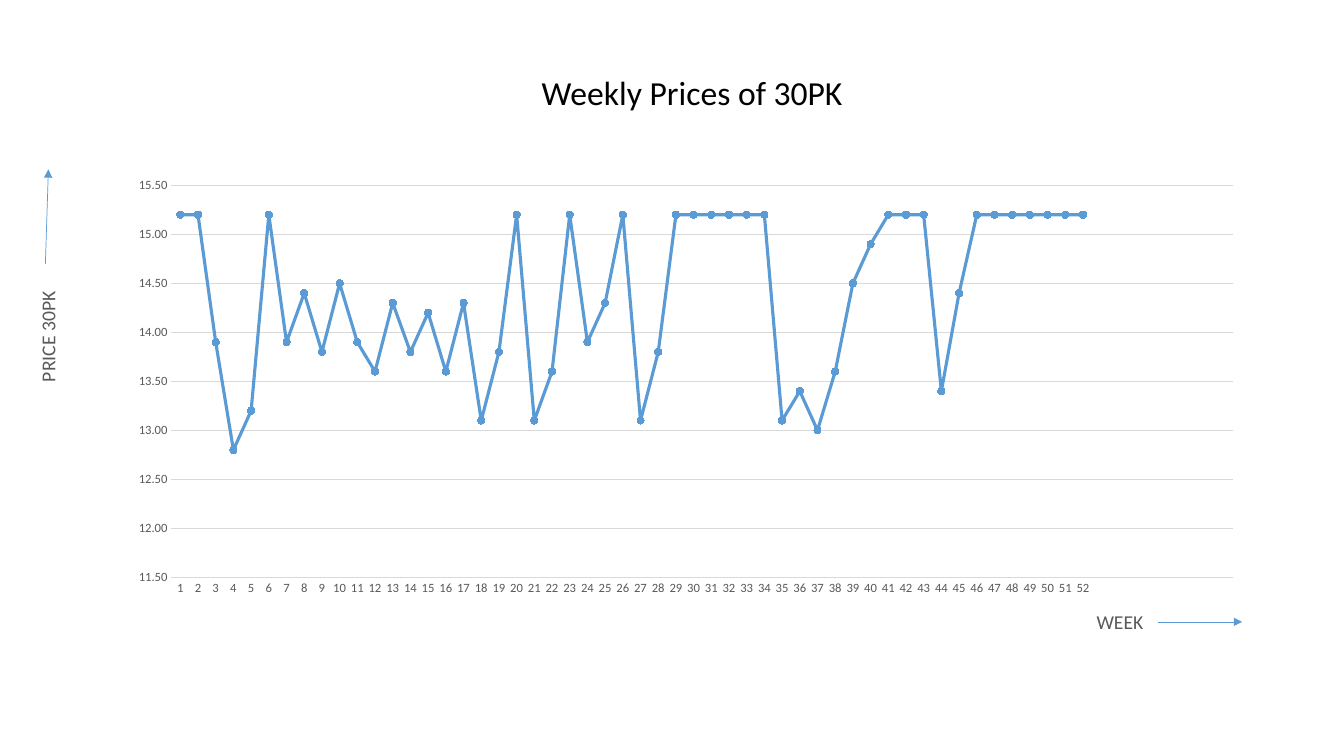
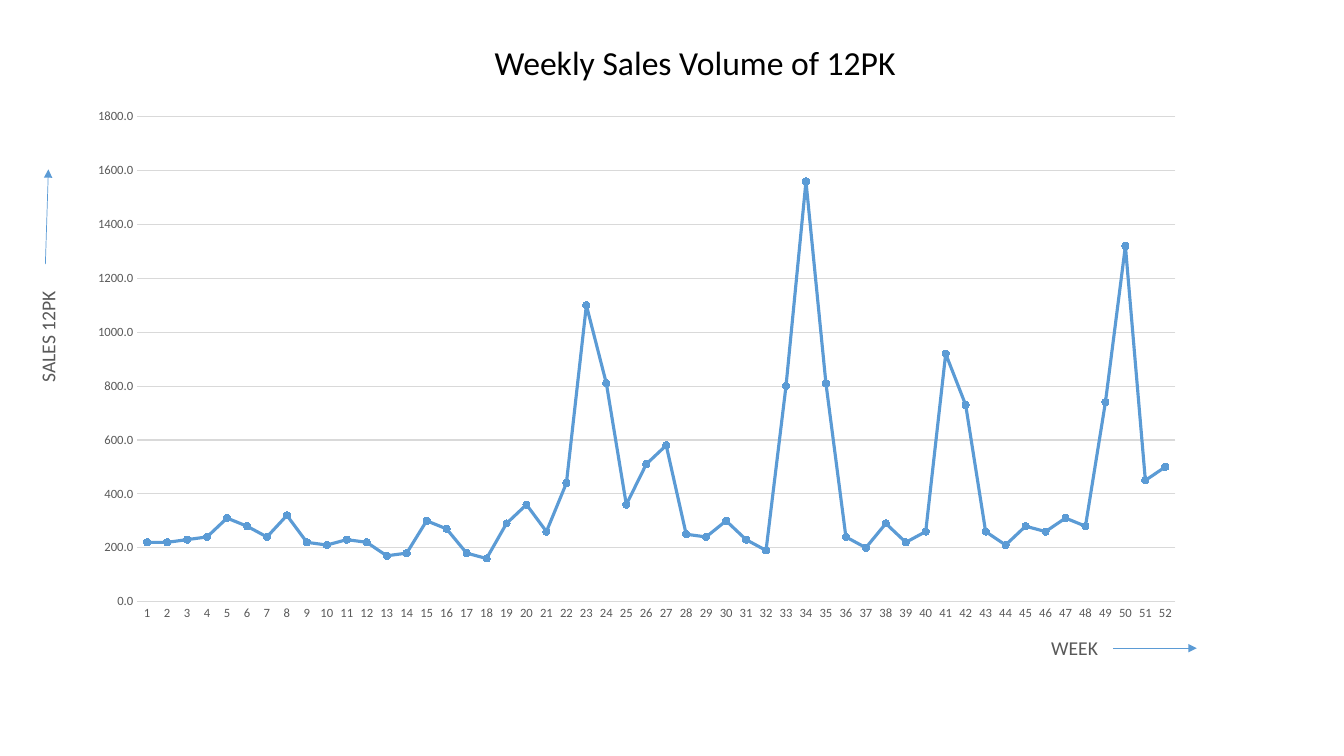
"""Build two slides of weekly line charts with labelled axis arrows."""
from lxml.etree import SubElement
from pptx import Presentation
from pptx.chart.data import CategoryChartData as ChartData
from pptx.dml.color import RGBColor
from pptx.enum.chart import XL_CHART_TYPE as ChartType
from pptx.enum.chart import XL_MARKER_STYLE as Marker
from pptx.enum.chart import XL_TICK_MARK as Tick
from pptx.enum.shapes import MSO_CONNECTOR as Connector
from pptx.enum.text import MSO_ANCHOR as Anchor
from pptx.enum.text import MSO_AUTO_SIZE as AutoSize
from pptx.enum.text import PP_ALIGN as Align
from pptx.oxml.ns import qn
from pptx.util import Inches, Pt

COLORS = {"title": "000000", "label": "595959", "grid": "D9D9D9", "series": "5B9BD5"}
FONT = "Calibri"
RIGHT_SIDE = 3

PRICES = [
    15.2, 15.2, 13.9, 12.8, 13.2, 15.2, 13.9, 14.4, 13.8, 14.5, 13.9, 13.6, 14.3,
    13.8, 14.2, 13.6, 14.3, 13.1, 13.8, 15.2, 13.1, 13.6, 15.2, 13.9, 14.3, 15.2,
    13.1, 13.8, *[15.2] * 6, 13.1, 13.4, 13, 13.6, 14.5, 14.9, *[15.2] * 3,
    13.4, 14.4, *[15.2] * 7,
]
SALES = [
    220, 220, 230, 240, 310, 280, 240, 320, 220, 210, 230, 220, 170,
    180, 300, 270, 180, 160, 290, 360, 260, 440, 1100, 810, 360, 510,
    580, 250, 240, 300, 230, 190, 800, 1560, 810, 240, 200, 290, 220,
    260, 920, 730, 260, 210, 280, 260, 310, 280, 740, 1320, 450, 500,
]


class Deck:
    """Hold the shared style and the slide being filled."""

    def __init__(self):
        """Start a widescreen presentation."""
        self.prs = Presentation()
        self.prs.slide_width, self.prs.slide_height = Inches(13.33), Inches(7.5)
        self.slide = None

    def new_slide(self):
        """Add a slide with only a title."""
        self.slide = self.prs.slides.add_slide(self.prs.slide_layouts[5])

    def style_font(self, font, size, color):
        """Apply the deck font in a given size and colour."""
        font.name, font.size = FONT, Pt(size)
        font.color.rgb = RGBColor.from_string(COLORS[color])

    def style_line(self, line, color, width):
        """Apply a solid line."""
        line.color.rgb = RGBColor.from_string(COLORS[color])
        line.width = Pt(width)

    def add_text(self, frame, text, size, color):
        """Add one centred run."""
        paragraph = frame.paragraphs[0]
        paragraph.alignment = Align.CENTER
        run = paragraph.add_run()
        run.text = text
        self.style_font(run.font, size, color)

    def title(self, text, left, top):
        """Place the slide title."""
        heading = self.slide.shapes.title
        heading.left, heading.top = Inches(left), Inches(top)
        heading.width, heading.height = Inches(6.63), Inches(0.5)
        frame = heading.text_frame
        frame.auto_size, frame.vertical_anchor = AutoSize.NONE, Anchor.TOP
        self.add_text(frame, text, 24, "title")

    def label(self, text, left, top, width, rotation=0):
        """Add an axis label."""
        caption = self.slide.shapes.add_textbox(
            Inches(left), Inches(top), Inches(width), Inches(0.34))
        caption.rotation = rotation
        caption.text_frame.word_wrap = False
        caption.text_frame.auto_size = AutoSize.SHAPE_TO_FIT_TEXT
        self.add_text(caption.text_frame, text, 14, "label")
        return caption

    def arrow(self, start, end, source=None):
        """Add an arrow, joined to the right of a source label if given."""
        pointer = self.slide.shapes.add_connector(
            Connector.STRAIGHT, *map(Inches, start + end))
        if source is not None:
            pointer.begin_connect(source, RIGHT_SIDE)
        self.style_line(pointer.line, "series", 0.5)
        outline = pointer.element.spPr.find(qn("a:ln"))
        SubElement(outline, qn("a:tailEnd"), type="triangle")
        SubElement(pointer.element.spPr, qn("a:effectLst"))

    def axis_captions(self, measure, week_left, week_top):
        """Name both axes and point along them."""
        self.label(measure, -0.08, 3.17, 1.11, 270)
        self.arrow((0.45, 2.62), (0.48, 1.68))
        week = self.label("WEEK ", week_left, week_top, 0.72)
        middle = week_top + 0.17
        self.arrow((week_left + 0.72, middle), (week_left + 1.55, middle), week)

    def line_chart(self, values, box, scale, number_format, spare=0):
        """Add a weekly line chart with optional unlabelled spare weeks."""
        data = ChartData()
        data.categories = [str(week + 1) for week in range(len(values))] + [""] * spare
        data.add_series("Series 1", values + [None] * spare)
        chart = self.slide.shapes.add_chart(
            ChartType.LINE_MARKERS, *map(Inches, box), data).chart
        chart.has_title = chart.has_legend = False
        self.style_font(chart.font, 10, "title")

        weeks, amounts = chart.category_axis, chart.value_axis
        for axis in (weeks, amounts):
            axis.major_tick_mark = axis.minor_tick_mark = Tick.NONE
            self.style_font(axis.tick_labels.font, 9, "label")
        self.style_line(weeks.format.line, "grid", 0.75)
        amounts.format.line.fill.background()
        amounts.has_major_gridlines = True
        self.style_line(amounts.major_gridlines.format.line, "grid", 0.75)
        amounts.minimum_scale, amounts.maximum_scale, amounts.major_unit = scale
        amounts.tick_labels.number_format = number_format
        amounts.tick_labels.number_format_is_linked = False
        for body in chart.element.iter(qn("a:bodyPr")):
            body.set("rot", "-60000000")

        chart.plots[0].vary_by_categories = False
        series = chart.plots[0].series[0]
        series.smooth = False
        self.style_line(series.format.line, "series", 2.25)
        series.marker.style, series.marker.size = Marker.CIRCLE, 5
        series.marker.format.fill.solid()
        series.marker.format.fill.fore_color.rgb = RGBColor.from_string(COLORS["series"])
        self.style_line(series.marker.format.line, "series", 0.75)


def main():
    """Build and save both slides."""
    deck = Deck()

    deck.new_slide()
    deck.line_chart(PRICES, (1.15, 1.68, 11.31, 4.32), (11.5, 15.5, 0.5), "0.00", spare=8)
    deck.title("Weekly Prices of 30PK", 3.55, 0.66)
    deck.axis_captions("PRICE 30PK", 10.77, 6)

    deck.new_slide()
    deck.line_chart(SALES, (0.75, 0.98, 11.13, 5.28), (0, 1800, 200), "0.0")
    deck.title("Weekly Sales Volume of 12PK", 3.58, 0.37)
    deck.axis_captions("SALES 12PK", 10.32, 6.26)

    deck.prs.save("out.pptx")


if __name__ == "__main__":
    main()
